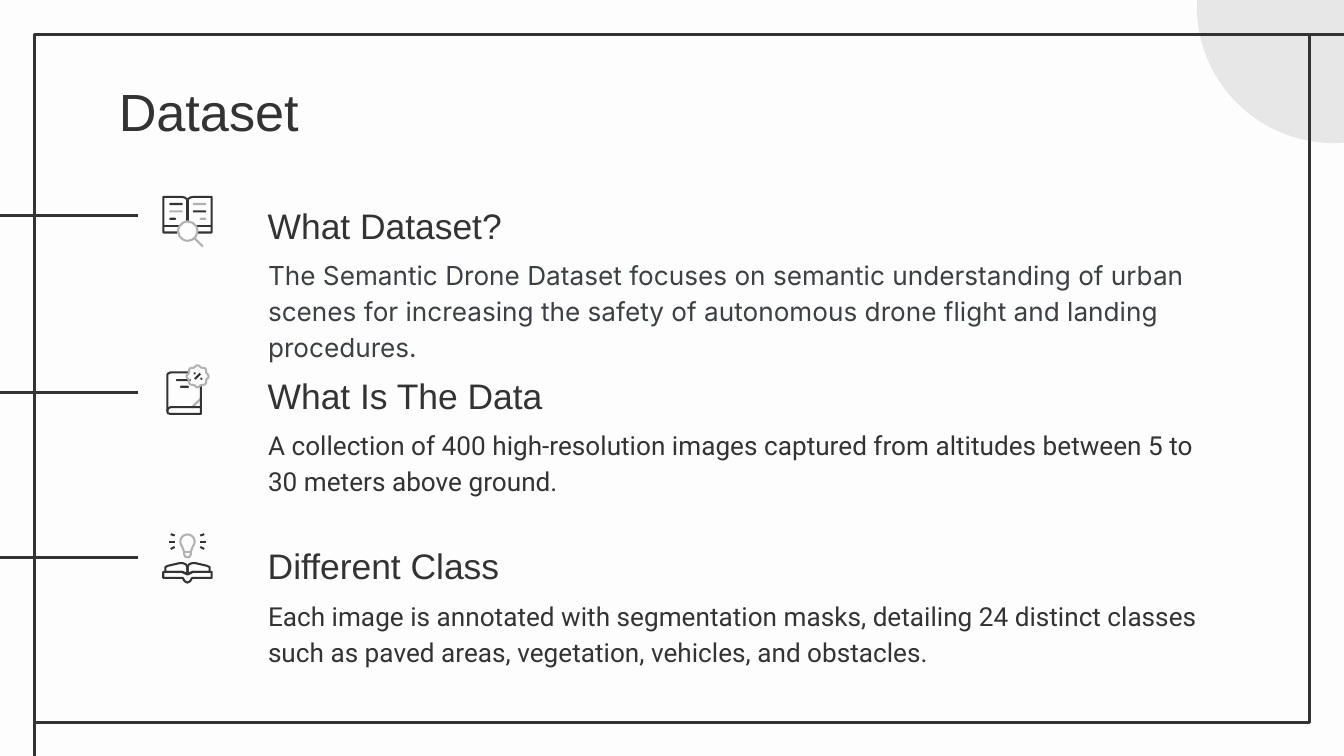
from math import cos, pi, sin

from lxml.etree import SubElement
from pptx import Presentation
from pptx.dml.color import RGBColor
from pptx.enum.shapes import MSO_CONNECTOR, MSO_SHAPE
from pptx.enum.text import MSO_ANCHOR, MSO_AUTO_SIZE, PP_ALIGN
from pptx.oxml.ns import qn
from pptx.util import Inches, Pt

UNIT = Inches(0.01)
WIDE, HIGH = 1000, 562.5
MID = 139.5
DARK = RGBColor(0x33, 0x33, 0x33)
SLATE = RGBColor(0x3C, 0x40, 0x43)
GREY = RGBColor(0xB2, 0xB2, 0xB2)
PALE = RGBColor(0xE8, 0xE7, 0xE7)
PAPER = RGBColor(0xFD, 0xFD, 0xFD)

TOPICS = [
    ("What Dataset?", "The Semantic Drone Dataset focuses on semantic understanding of urban scenes "
     "for increasing the safety of autonomous drone flight and landing procedures.", "Inter", SLATE),
    ("What Is The Data", "A collection of 400 high-resolution images captured from altitudes "
     "between 5 to 30 meters above ground.", "Roboto", DARK),
    ("Different Class", "Each image is annotated with segmentation masks, detailing 24 distinct "
     "classes such as paved areas, vegetation, vehicles, and obstacles.", "Roboto", DARK),
]


def grid(*cells):
    """Turn grid cells into slide lengths."""
    return [int(cell * UNIT) for cell in cells]


def block(shapes, kind, box, fill=None, edge=None, width=1.5):
    """Add a preset shape with an optional fill and edge."""
    shape = shapes.add_shape(kind, *grid(*box))
    shape.shadow.inherit = False
    if fill:
        shape.fill.solid()
        shape.fill.fore_color.rgb = fill
    else:
        shape.fill.background()
    if edge:
        shape.line.color.rgb = edge
        shape.line.width = Pt(width)
    else:
        shape.line.fill.background()
    return shape


def rule(shapes, ends, color=DARK, width=1.5):
    """Add a straight line between two points."""
    line = shapes.add_connector(MSO_CONNECTOR.STRAIGHT, *grid(*ends))
    line.line.color.rgb = color
    line.line.width = Pt(width)
    SubElement(line._element.spPr, qn("a:effectLst"))


def thin(shapes, ends, color=DARK):
    """Add a fine icon stroke."""
    rule(shapes, ends, color, 1.1)


def trace(shapes, spots, color=DARK, close=False):
    """Add an unfilled outline through the given points."""
    spots = [grid(*spot) for spot in spots]
    pen = shapes.build_freeform(*spots[0])
    pen.add_line_segments(spots[1:], close=close)
    shape = pen.convert_to_shape()
    shape.shadow.inherit = False
    shape.fill.background()
    shape.line.color.rgb = color
    shape.line.width = Pt(1.1)


def dash(shapes, left, top, width, color=DARK):
    """Add a round-ended text mark."""
    mark = block(shapes, MSO_SHAPE.ROUNDED_RECTANGLE, (left, top, width, 1.6), color)
    mark.adjustments[0] = 0.5


def curve(x, y, size, start, stop, wave=0):
    """List points on an arc with an optional eightfold wave."""
    turns = [(start + (stop - start) * i / 64) * pi / 180 for i in range(65)]
    return [(x + (size + wave * cos(8 * t)) * cos(t),
             y + (size + wave * cos(8 * t)) * sin(t)) for t in turns]


def flip(spots):
    """Mirror points about the icon axis."""
    return [(2 * MID - x, y) for x, y in spots]


def search(shapes):
    """Draw an open book with a magnifier."""
    half = [(132, 173), (121.5, 173), (121.5, 146.5), (135, 146.5), (137.5, 147), (MID, 148.5)]
    for side in (half, flip(half)):
        trace(shapes, side)
    for ends in ((122, 168.5, 133, 168.5), (146, 168.5, 157, 168.5), (MID, 148.5, MID, 165)):
        thin(shapes, ends)
    for row, (top, wide) in enumerate(((151, 10), (156.5, 10), (162, 5))):
        left, right = (DARK, GREY) if row % 2 == 0 else (GREY, DARK)
        dash(shapes, 126, top, wide, left)
        dash(shapes, 153.5 - wide, top, wide, right)
    block(shapes, MSO_SHAPE.OVAL, (132.5, 164.8, 14.4, 14.4), None, GREY, 1.1)
    thin(shapes, (145, 177.5, 151, 183.5), GREY)


def manual(shapes):
    """Draw a closed book with a badge."""
    thin(shapes, (149.5, 296.5, 142.5, 303.5), GREY)
    trace(shapes, [(141, 277), (127, 277), (125, 278), (124.5, 279), (124.5, 306),
                   (125, 307.5), (127, 308), (149.5, 308), (149.5, 286)])
    trace(shapes, [(149.5, 303), (127, 303), (125, 304), (124.5, 306)])
    dash(shapes, 131, 282, 11)
    dash(shapes, 134, 287, 6.5)
    trace(shapes, curve(147, 280, 7.6, 0, 360, 0.6), GREY, True)
    thin(shapes, (145, 282, 149, 278))
    for left, top in ((144, 277), (149, 281)):
        block(shapes, MSO_SHAPE.OVAL, (left, top, 1.6, 1.6), DARK)


def idea(shapes):
    """Draw an open book under a light bulb."""
    page = [(123, 425.5), (123, 422), (125, 421), (133.5, 419), (136, 419),
            (138.5, 420), (MID, 422.5), (MID, 427), (135.5, 425.5)]
    cover = [(MID, 427.5), (135.5, 425.5), (121.5, 425.5), (121.5, 430), (136, 430), (137.5, 432.5),
             (MID, 433.5)]
    for side in (page, flip(page)):
        trace(shapes, side, close=True)
    trace(shapes, cover + flip(cover)[::-1], close=True)
    for start, stop in (((149, 398.5), (152, 397.5)), ((149, 403), (153, 403)), ((149, 407), (152, 408.5))):
        for ray in ((start, stop), flip((start, stop))):
            thin(shapes, ray[0] + ray[1])
    foot = [(142, 410.5), (142, 412.5), (141, 414.5), (138, 414.5), (137, 412.5), (137, 410.5)]
    trace(shapes, curve(MID, 403, 5.3, 140, 400) + foot, GREY, True)
    thin(shapes, (137, 410.5, 142, 410.5), GREY)


def write(shape, box, text, face, size, color, anchor=MSO_ANCHOR.TOP, pitch=1.15):
    """Place a text shape and format its single paragraph."""
    shape.left, shape.top, shape.width, shape.height = grid(*box)
    frame = shape.text_frame
    frame.text = text
    frame.word_wrap = True
    frame.auto_size = MSO_AUTO_SIZE.NONE
    frame.vertical_anchor = anchor
    frame.margin_left = frame.margin_right = frame.margin_top = frame.margin_bottom = Inches(0.1)
    para = frame.paragraphs[0]
    props = para._p.get_or_add_pPr()
    props.set("marL", "0")
    props.set("indent", "0")
    SubElement(props, qn("a:buNone"))
    para.alignment = PP_ALIGN.LEFT
    para.line_spacing = pitch
    para.space_before = Pt(0)
    font = para.runs[0].font
    font.name, font.size, font.bold = face, Pt(size), False
    font.color.rgb = color


def border(shapes):
    """Draw the corner disc, side spurs and border."""
    block(shapes, MSO_SHAPE.OVAL, (890.5, -97.5, 204, 204), PALE)
    for row in (160.3, 292, 415):
        rule(shapes, (0, row, 103, row))
    block(shapes, MSO_SHAPE.RECTANGLE, (25.4, 25.4, 949, 512), None, DARK)
    rule(shapes, (1008, 25.4, 975, 25.4))
    rule(shapes, (25.8, 538, 25.8, 572))


def main():
    """Build the slide and save it."""
    deck = Presentation()
    deck.slide_width, deck.slide_height = grid(WIDE, HIGH)
    slide = deck.slides.add_slide(deck.slide_layouts.get_by_name("Comparison"))
    slide.background.fill.solid()
    slide.background.fill.fore_color.rgb = PAPER
    shapes = slide.shapes
    border(shapes)
    write(shapes.title, (78.4, 49, 843, 63), "Dataset", "Arial", 28, DARK, pitch=1)
    bodies = list(slide.placeholders)[1:]
    spare = bodies.pop()._element
    spare.getparent().remove(spare)
    for row, (head, text, face, color) in enumerate(TOPICS):
        write(bodies[row], (189.4, 179.3 + 126.8 * row, 723, 58), text, face, 14, color)
        box = (189.4, 135.7 + 126.2 * row, 723, 58)
        write(shapes.add_textbox(*grid(*box)), box, head, "Arial", 19, DARK, MSO_ANCHOR.BOTTOM)
    for draw in (search, manual, idea):
        draw(shapes.add_group_shape().shapes)
    deck.save("out.pptx")


if __name__ == "__main__":
    main()
